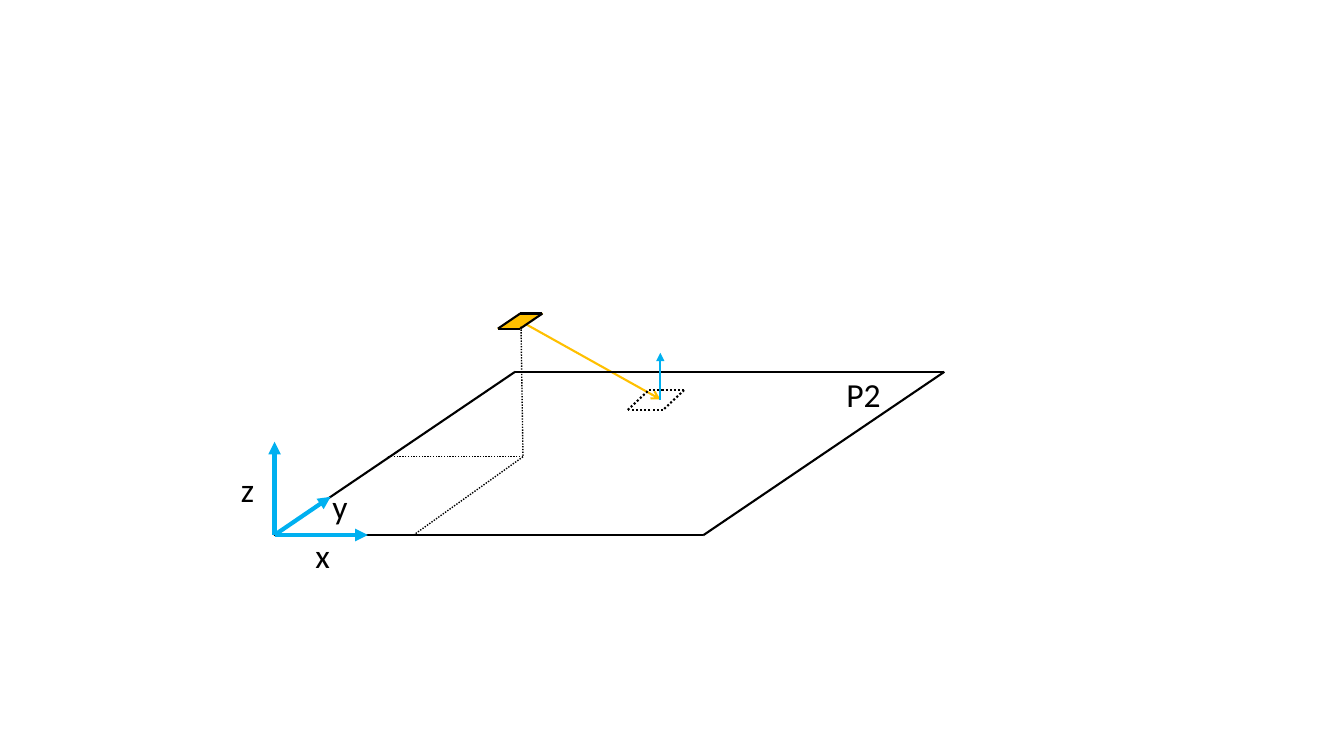
from collections import namedtuple

from lxml.etree import SubElement
from pptx import Presentation
from pptx.dml.color import RGBColor
from pptx.enum.dml import MSO_LINE
from pptx.enum.shapes import MSO_CONNECTOR
from pptx.enum.text import MSO_AUTO_SIZE
from pptx.oxml.ns import qn
from pptx.util import Cm, Pt

BLACK, BLUE, GOLD = "000000", "00B0F0", "FFC000"

# All lengths are centimetres
Box = namedtuple("Box", "left top width height")


def color(hex_text):
    return RGBColor.from_string(hex_text)


def add_line(shapes, start, end, hex_text=BLACK, width=1.5, dash=None, tip=None):
    ends = [Cm(value) for value in (*start, *end)]
    connector = shapes.add_connector(MSO_CONNECTOR.STRAIGHT, *ends)
    connector.line.color.rgb = color(hex_text)
    connector.line.width = Pt(width)
    if dash:
        connector.line.dash_style = dash
    properties = connector._element.spPr
    if tip:
        SubElement(properties.find(qn("a:ln")), qn("a:tailEnd"), type=tip)
    SubElement(properties, qn("a:effectLst"))


def add_text(shapes, text, left, top, width=0.88, size=24, hex_text=BLACK):
    label = shapes.add_textbox(Cm(left), Cm(top), Cm(width), Cm(1.27))
    frame = label.text_frame
    frame.word_wrap = False
    frame.auto_size = MSO_AUTO_SIZE.SHAPE_TO_FIT_TEXT
    span = frame.paragraphs[0].add_run()
    span.text = text
    span.font.name = "Calibri"
    span.font.size = Pt(size)
    span.font.color.rgb = color(hex_text)


def parallelogram_corners(box, skew):
    right, bottom = box.left + box.width, box.top + box.height
    return [(box.left, bottom), (box.left + skew, box.top),
            (right, box.top), (right - skew, bottom)]


def draw_outline(shapes, box, skew, dash=None):
    corners = parallelogram_corners(box, skew)
    for start, end in zip(corners, corners[1:] + corners[:1]):
        add_line(shapes, start, end, dash=dash)


def draw_plane(page, box):
    draw_outline(page.shapes, box, skew=6.08)
    add_text(page.shapes, "P2", box.left + 14.18, box.top - 0.07, width=1.4)


def draw_axes(page, box):
    origin = (box.left, box.top + box.height)
    tips = [(box.left + box.width, origin[1]),
            (box.left, box.top),
            (box.left + 1.41, box.top + 1.39)]
    for tip in tips:
        add_line(page.shapes, origin, tip, BLUE, width=3, tip="triangle")
    for text, right, down in (("x", 0.78, 2.23), ("y", 1.21, 0.99), ("z", -1.1, 0.55)):
        add_text(page.shapes, text, box.left + right, box.top + down)


def draw_tile(page, box):
    skew = box.width / 2
    shapes = page.shapes.add_group_shape().shapes
    # Gold face
    corners = [(Cm(x), Cm(y)) for x, y in parallelogram_corners(box, skew)]
    builder = shapes.build_freeform(*corners[0])
    builder.add_line_segments(corners[1:], close=True)
    face = builder.convert_to_shape()
    face.shadow.inherit = False
    face.fill.solid()
    face.fill.fore_color.rgb = color(GOLD)
    face.line.color.rgb = color(GOLD)
    face.line.width = Pt(1)
    # Black edges
    draw_outline(shapes, box, skew)


def draw_target(page, box):
    draw_outline(page.shapes, box, skew=0.53, dash=MSO_LINE.ROUND_DOT)
    # Surface normal
    foot = (box.left + 0.82, box.top + box.height / 2)
    add_line(page.shapes, foot, (foot[0], box.top - 0.94), BLUE, tip="triangle")


def draw_projection(page, box):
    """Dotted lines from the tile down to the plane and out to its edges."""
    right, bottom = box.left + box.width, box.top + box.height
    foot = (right, box.top + 3.28)
    for start, end in (((right - 0.05, box.top), foot),
                       (foot, (box.left + 0.66, bottom)),
                       (foot, (box.left, foot[1]))):
        add_line(page.shapes, start, end, width=1, dash=MSO_LINE.ROUND_DOT)


def main():
    deck = Presentation()
    deck.slide_width, deck.slide_height = Cm(33.87), Cm(19.05)
    page = deck.slides.add_slide(deck.slide_layouts[6])

    # Movement from the tile to the target
    add_line(page.shapes, (13.13, 8.1), (16.64, 10.06), GOLD, tip="arrow")
    draw_plane(page, Box(6.9, 9.37, 16.9, 4.12))
    draw_axes(page, Box(6.92, 11.13, 2.35, 2.35))
    draw_target(page, Box(15.82, 9.83, 1.42, 0.5))
    draw_tile(page, Box(12.55, 7.9, 1.12, 0.38))
    draw_projection(page, Box(9.75, 8.23, 3.43, 5.26))

    deck.save("out.pptx")


if __name__ == "__main__":
    main()
